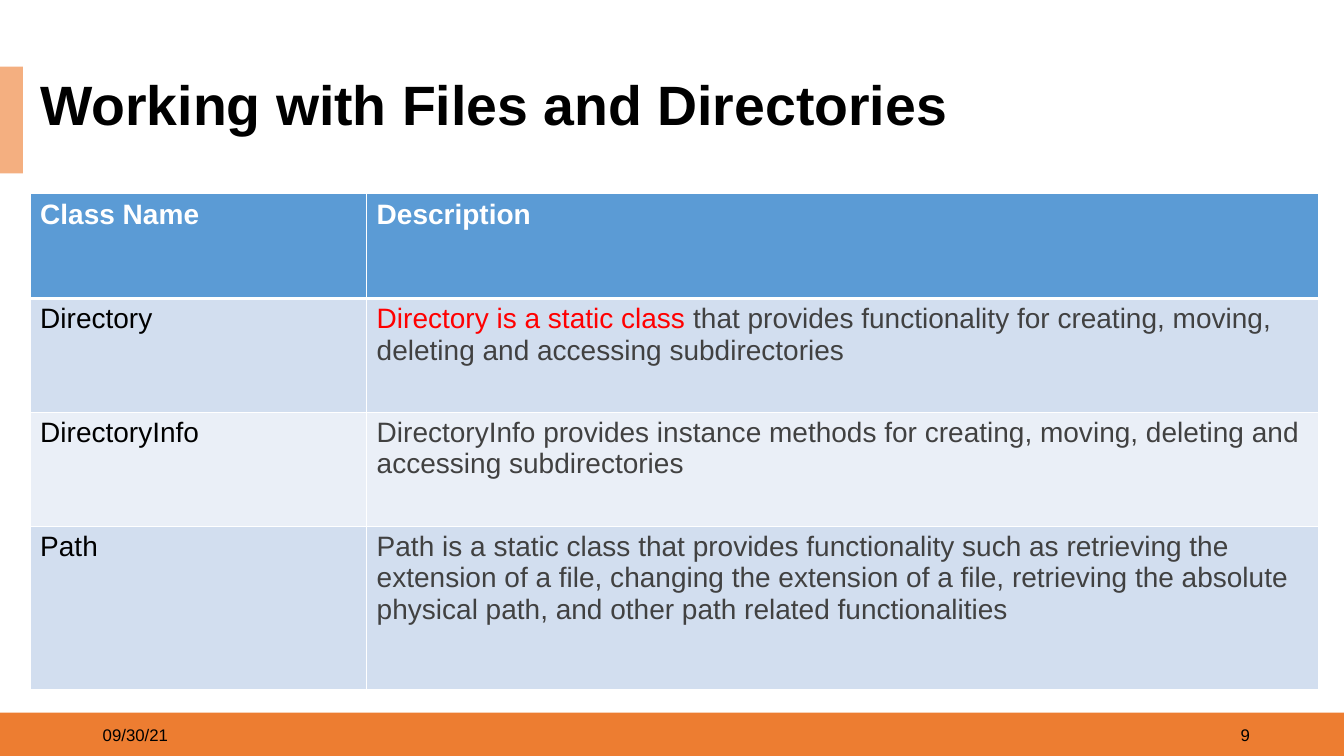
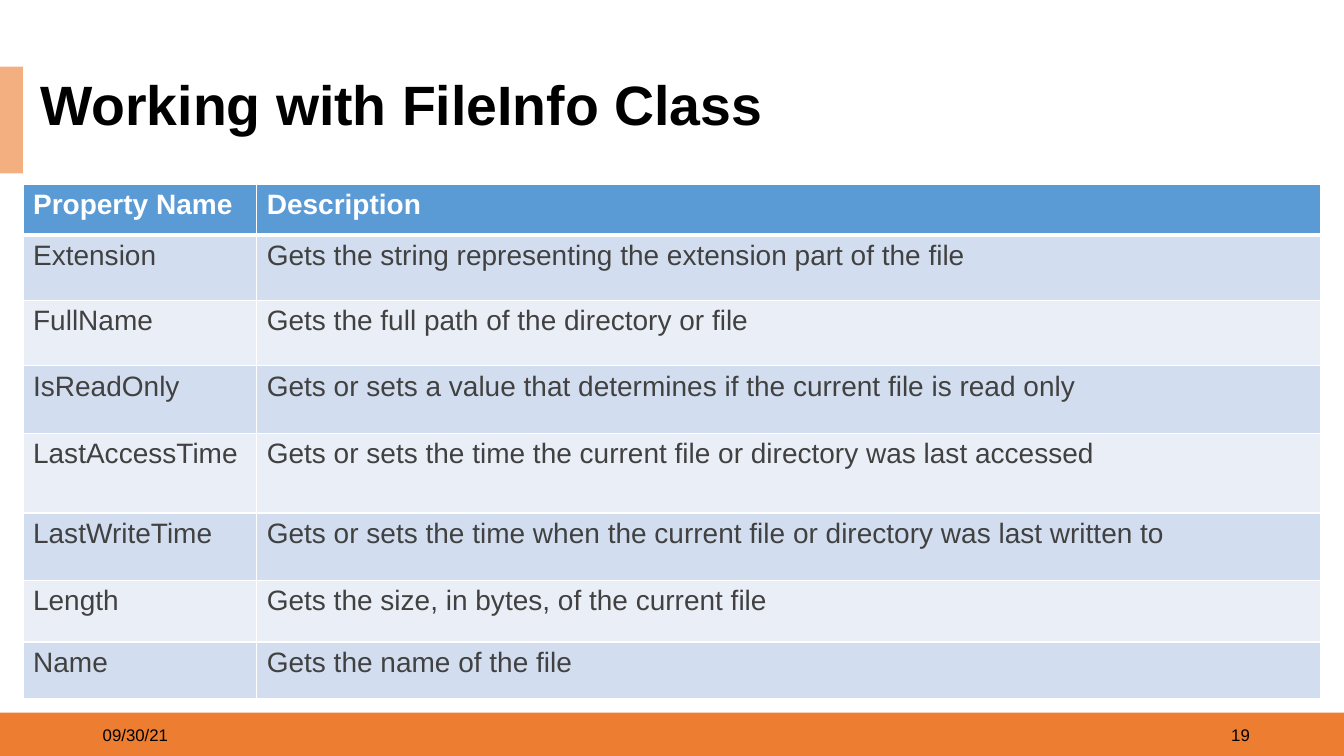
from lxml import etree
from pptx import Presentation, util as u
from pptx.dml.color import RGBColor
from pptx.enum import shapes, text
from pptx.oxml.ns import qn

HUES = {"band": "ED7D31", "tab": "F4AF80", "head": "5B9BD5", "odd": "D2DEEF",
        "even": "EAEFF7", "white": "FFFFFF", "black": "000000",
        "grey": "414141", "red": "FF0000"}
WIDE, HIGH = 33.87, 19.05
BAND = 17.96  # top of the footer band
LEFT, MID = text.PP_ALIGN.LEFT, text.MSO_ANCHOR.MIDDLE

# Shared formats
BASE = {"name": "Arial", "bold": False}
TITLE = BASE | {"size": u.Pt(39.6), "bold": True}
FOOT = BASE | {"size": u.Pt(12)}
BODY = BASE | {"size": u.Pt(20)}
HEAD = BODY | {"bold": True}
FRAME = {"word_wrap": True, "vertical_anchor": MID,
         "auto_size": text.MSO_AUTO_SIZE.NONE}

# Slide content: a cell is a list of (text, colour) runs
FILES = [
    ("Directory", [("Directory is a static class ", "red"),
                   ("that provides functionality for creating, moving, "
                    "deleting and accessing subdirectories", "grey")]),
    ("DirectoryInfo", [("DirectoryInfo provides instance methods for creating, "
                        "moving, deleting and accessing subdirectories", "grey")]),
    ("Path", [("Path is a static class that provides functionality such as "
               "retrieving the extension of a file, changing the extension of a "
               "file, retrieving the absolute physical path, and other path "
               "related functionalities", "grey")]),
]
PROPS = [
    ("Extension", "Gets the string representing the extension part of the file"),
    ("FullName", "Gets the full path of the directory or file"),
    ("IsReadOnly", "Gets or sets a value that determines if the current file is read only"),
    ("LastAccessTime", "Gets or sets the time the current file or directory was last accessed"),
    ("LastWriteTime", "Gets or sets the time when the current file or directory was last written to"),
    ("Length", "Gets the size, in bytes, of the current file"),
    ("Name", "Gets the name of the file"),
]


def style(obj, form):
    for key, val in form.items():
        setattr(obj, key, val)


def paint(fill, hue):
    fill.solid()
    fill.fore_color.rgb = RGBColor.from_string(HUES[hue])


def write(para, runs, form):
    for words, hue in runs:
        run = para.add_run()
        run.text = words
        style(run.font, form)
        run.font.color.rgb = RGBColor.from_string(HUES[hue])


def add_bar(slide, box, hue):
    bar = slide.shapes.add_shape(shapes.MSO_SHAPE.RECTANGLE, *map(u.Cm, box))
    bar.shadow.inherit = False
    paint(bar.fill, hue)
    bar.line.fill.background()


def add_note(slide, left, words, align):
    box = slide.shapes.add_textbox(*map(u.Cm, (left, 18.01, 7.62, 1.02)))
    style(box.text_frame, FRAME)
    para = box.text_frame.paragraphs[0]
    para.alignment = align
    write(para, [(words, "black")], FOOT)


def set_title(slide, words, width):
    title = slide.shapes.title
    style(title, dict(zip(("left", "top", "width", "height"),
                          map(u.Cm, (0.76, 1.9, width, 1.6)))))
    paint(title.fill, "white")
    style(title.text_frame, FRAME)
    para = title.text_frame.paragraphs[0]
    style(para, {"alignment": LEFT, "line_spacing": 0.9})
    write(para, [(words, "black")], TITLE)


def add_edges(cell, top, base):
    props = cell._tc.get_or_add_tcPr()
    for side, width in (("L", 1), ("R", 1), ("T", top), ("B", base)):
        line = etree.SubElement(props, qn("a:ln" + side), w=str(u.Pt(width)))
        fill = etree.SubElement(line, qn("a:solidFill"))
        etree.SubElement(fill, qn("a:srgbClr"), val=HUES["white"])


def add_grid(slide, spot, cols, highs, rows, gap=0):
    """Draw a banded table; gap is the header's paragraph spacing in points."""
    size = (sum(cols), sum(highs))
    grid = slide.shapes.add_table(len(highs), len(cols),
                                  *map(u.Cm, spot + size)).table
    for col, width in zip(grid.columns, cols):
        col.width = u.Cm(width)
    for i, (high, row) in enumerate(zip(highs, rows)):
        grid.rows[i].height = u.Cm(high)
        hue = "head" if i == 0 else "odd" if i % 2 else "even"
        for j, runs in enumerate(row):
            cell = grid.cell(i, j)
            # Thick rule between header and body
            add_edges(cell, 3 if i == 1 else 1, 3 if i == 0 else 1)
            paint(cell.fill, hue)
            para = cell.text_frame.paragraphs[0]
            if i == 0 and gap:
                style(para, {"space_before": u.Pt(gap), "space_after": u.Pt(gap)})
            write(para, runs, BODY if i else HEAD)


def add_page(deck, words, width, page):
    slide = deck.slides.add_slide(deck.slide_layouts[5])
    add_bar(slide, (0, BAND, WIDE, HIGH - BAND), "band")
    add_bar(slide, (0, 1.68, 0.58, 2.69), "tab")
    add_note(slide, 2.34, "09/30/21", LEFT)
    add_note(slide, 24.13, page, text.PP_ALIGN.RIGHT)
    set_title(slide, words, width)
    return slide


def header(*names):
    return [[(name, "white")] for name in names]


def main():
    deck = Presentation()
    style(deck, {"slide_width": u.Cm(WIDE), "slide_height": u.Cm(HIGH)})

    # Directory classes
    slide = add_page(deck, "Working with Files and Directories", 24.69, "9")
    rows = [header("Class Name", "Description")]
    rows += [([(name, "black")], runs) for name, runs in FILES]
    add_grid(slide, (0.76, 4.88), (8.48, 23.98), (2.64, 2.87, 2.87, 4.11), rows)

    # FileInfo properties
    slide = add_page(deck, "Working with FileInfo Class", 20.7, "19")
    rows = [header("Property Name", "Description")]
    rows += [[[(words, "grey")] for words in pair] for pair in PROPS]
    add_grid(slide, (0.58, 4.65), (5.89, 26.8),
             (1.27, 1.65, 1.65, 1.7, 2.01, 1.7, 1.55, 1.42), rows, gap=6)

    deck.save("out.pptx")


if __name__ == "__main__":
    main()
